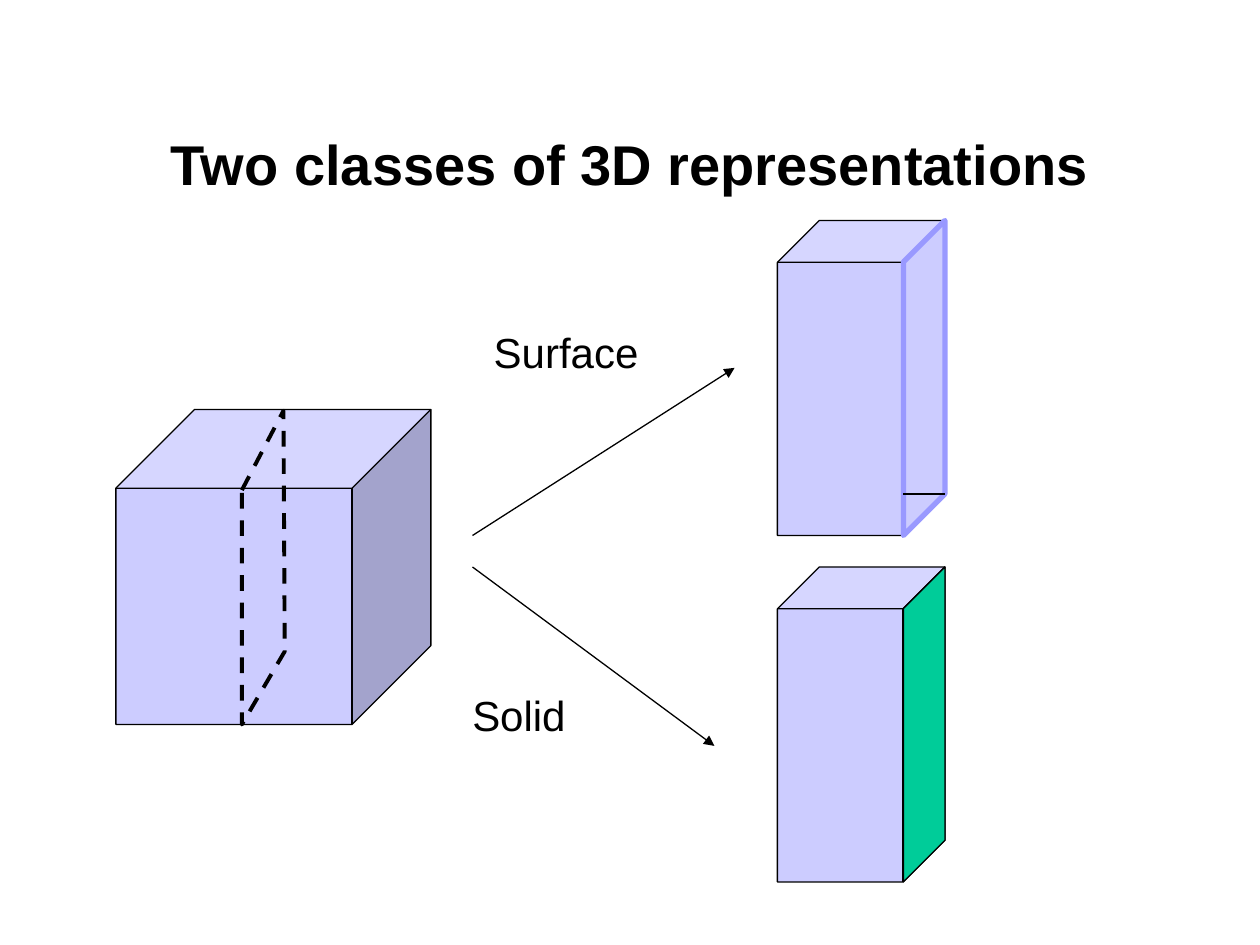
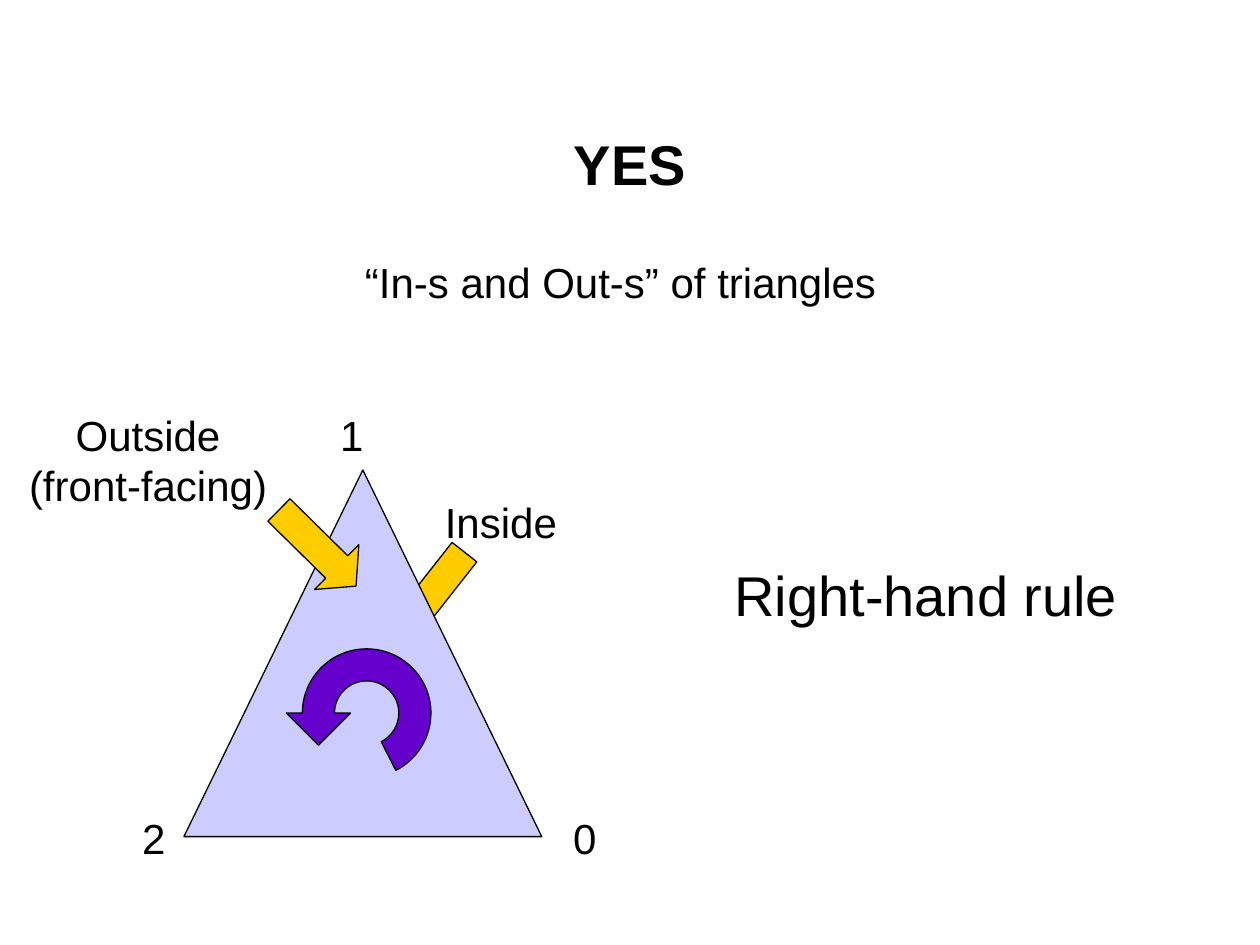
import math
from lxml import etree
from pptx import Presentation
from pptx.dml.color import RGBColor
from pptx.enum import dml, shapes, text
from pptx.oxml.ns import qn
from pptx.util import Inches, Pt

HUES = {
    "ink": "000000",
    "face": "CCCCFF",
    "edge": "9999FF",
    "solid": "00CC99",
    "gold": "FFCC00",
    "turn": "6600CC",
}
FONT = "Arial"
MID = text.PP_ALIGN.CENTER
LEFT = text.PP_ALIGN.LEFT
DEPTH = 0.33


def hue(name):
    return RGBColor.from_string(HUES[name])


def write(frame, words, size=24, bold=False, align=MID, before=0, after=0):
    frame.text = words
    for para in frame.paragraphs:
        para.alignment = align
        para.space_before, para.space_after = Pt(before), Pt(after)
        font = para.runs[0].font
        font.name, font.size, font.bold = FONT, Pt(size), bold
        font.color.rgb = hue("ink")


def start(deck, words):
    slide = deck.slides.add_slide(deck.slide_layouts[5])
    title = slide.shapes.title
    title.left, title.top = Inches(0.75), Inches(0.67)
    title.width, title.height = Inches(8.5), Inches(1.25)
    frame = title.text_frame
    frame.vertical_anchor = text.MSO_ANCHOR.MIDDLE
    frame.auto_size = text.MSO_AUTO_SIZE.NONE
    write(frame, words, size=32, bold=True, before=12, after=6)
    return slide


def label(slide, words, box, **look):
    frame = slide.shapes.add_textbox(*map(Inches, box)).text_frame
    frame.word_wrap = False
    frame.auto_size = text.MSO_AUTO_SIZE.SHAPE_TO_FIT_TEXT
    write(frame, words, **look)


def paint(shape, fill, edge="ink", width=0.75):
    shape.shadow.inherit = False
    if fill:
        shape.fill.solid()
        shape.fill.fore_color.rgb = hue(fill)
    else:
        shape.fill.background()
    shape.line.color.rgb = hue(edge)
    shape.line.width = Pt(width)
    return shape


def form(slide, kind, box, fill, tweaks=(), turn=0):
    shape = slide.shapes.add_shape(kind, *map(Inches, box))
    for i, tweak in enumerate(tweaks):
        shape.adjustments[i] = tweak
    shape.rotation = turn
    return paint(shape, fill)


def outline(slide, points, fill, **look):
    spots = [(Inches(x), Inches(y)) for x, y in points]
    pen = slide.shapes.build_freeform(*spots[0])
    pen.add_line_segments(spots[1:], close=True)
    return paint(pen.convert_to_shape(), fill, **look)


def line(slide, tail, tip, arrow=False):
    ends = map(Inches, (*tail, *tip))
    link = slide.shapes.add_connector(shapes.MSO_CONNECTOR.STRAIGHT, *ends)
    link.line.color.rgb = hue("ink")
    link.line.width = Pt(0.75)
    if arrow:
        etree.SubElement(link.line._get_or_add_ln(), qn("a:tailEnd"), type="triangle")
    etree.SubElement(link._element.spPr, qn("a:effectLst"))


def cube(slide, box):
    form(slide, shapes.MSO_SHAPE.CUBE, box, "face", [0.25])


def block(slide, top, fill, **look):
    cube(slide, (6.17, top, 1.33, 2.5))
    right, low = 7.5, top + 2.5
    side = [
        (right - DEPTH, top + DEPTH),
        (right, top),
        (right, low - DEPTH),
        (right - DEPTH, low),
    ]
    outline(slide, side, fill, **look)


def arrow(slide, left, top, turn):
    box = (left, top, 0.86, 0.5)
    form(slide, shapes.MSO_SHAPE.RIGHT_ARROW, box, "gold", [0.5, 0.43], turn)


def arc(x, y, radius, stops):
    def spot(angle, pull=0):
        c, s = math.cos(angle), math.sin(angle)
        return x + radius * (c - pull * s), y + radius * (s + pull * c)

    turns = [math.radians(stop) for stop in stops]
    points = [spot(turns[0])]
    for a, b in zip(turns, turns[1:]):
        pull = 4 / 3 * math.tan((b - a) / 4)
        points += [spot(a, pull), spot(b, -pull), spot(b)]
    return points


def bend(shape, firsts):
    steps = list(shape._element.iter(qn("a:lnTo")))
    for first in firsts:
        curve = etree.Element(qn("a:cubicBezTo"))
        steps[first].addprevious(curve)
        for step in steps[first:first + 3]:
            curve.append(step[0])
            step.getparent().remove(step)


def spin(slide, x, y, radius):
    half = radius / 2
    head = [
        (x - radius * 1.25, y),
        (x - radius * 0.75, y + half),
        (x - radius * 0.25, y),
    ]
    stops = [180, 270, 360, 423]
    ring = arc(x, y, half, stops) + arc(x, y, radius, stops[::-1])
    bend(outline(slide, ring + head, "turn"), [0, 3, 6, 10, 13, 16])


def classes(deck):
    slide = start(deck, "Two classes of 3D representations")
    cube(slide, (0.92, 3.25, 2.5, 2.5))
    block(slide, 4.5, "solid")
    block(slide, 1.75, "face", edge="edge", width=3)
    line(slide, (7.5, 3.92), (7.17, 3.92))
    cut = [(1.92, 3.89), (2.25, 3.26), (2.26, 5.17), (1.92, 5.75)]
    plane = outline(slide, cut, None, width=2.25)
    plane.line.dash_style = dml.MSO_LINE.DASH
    line(slide, (3.75, 4.25), (5.83, 2.92), arrow=True)
    line(slide, (3.75, 4.5), (5.67, 5.92), arrow=True)
    label(slide, "Surface", (3.82, 2.54, 1.35, 0.5), align=LEFT)
    label(slide, "Solid", (3.65, 5.42, 0.94, 0.5), align=LEFT)


def facing(deck):
    slide = start(deck, "YES")
    arrow(slide, 2.99, 4.47, 128.2)
    form(slide, shapes.MSO_SHAPE.ISOSCELES_TRIANGLE, (1.46, 3.73, 2.84, 2.91), "face")
    spin(slide, 2.91, 5.66, 0.51)
    corners = [(4.45, 6.4), (2.6, 3.2), (1.03, 6.4)]
    for i, spot in enumerate(corners):
        label(slide, str(i), (*spot, 0.38, 0.5))
    label(slide, "Right-hand rule", (5.73, 4.4, 3.24, 0.64), size=32)
    arrow(slide, 2.09, 4.1, 44.6)
    label(slide, "Outside\n(front-facing)", (0.13, 3.2, 2.09, 0.9))
    label(slide, "Inside", (3.43, 3.89, 1.09, 0.5))
    label(slide, "“In-s and Out-s” of triangles", (2.79, 1.99, 4.27, 0.5))


def main():
    deck = Presentation()
    deck.slide_width, deck.slide_height = Inches(10), Inches(7.5)
    classes(deck)
    facing(deck)
    deck.save("out.pptx")


if __name__ == "__main__":
    main()
